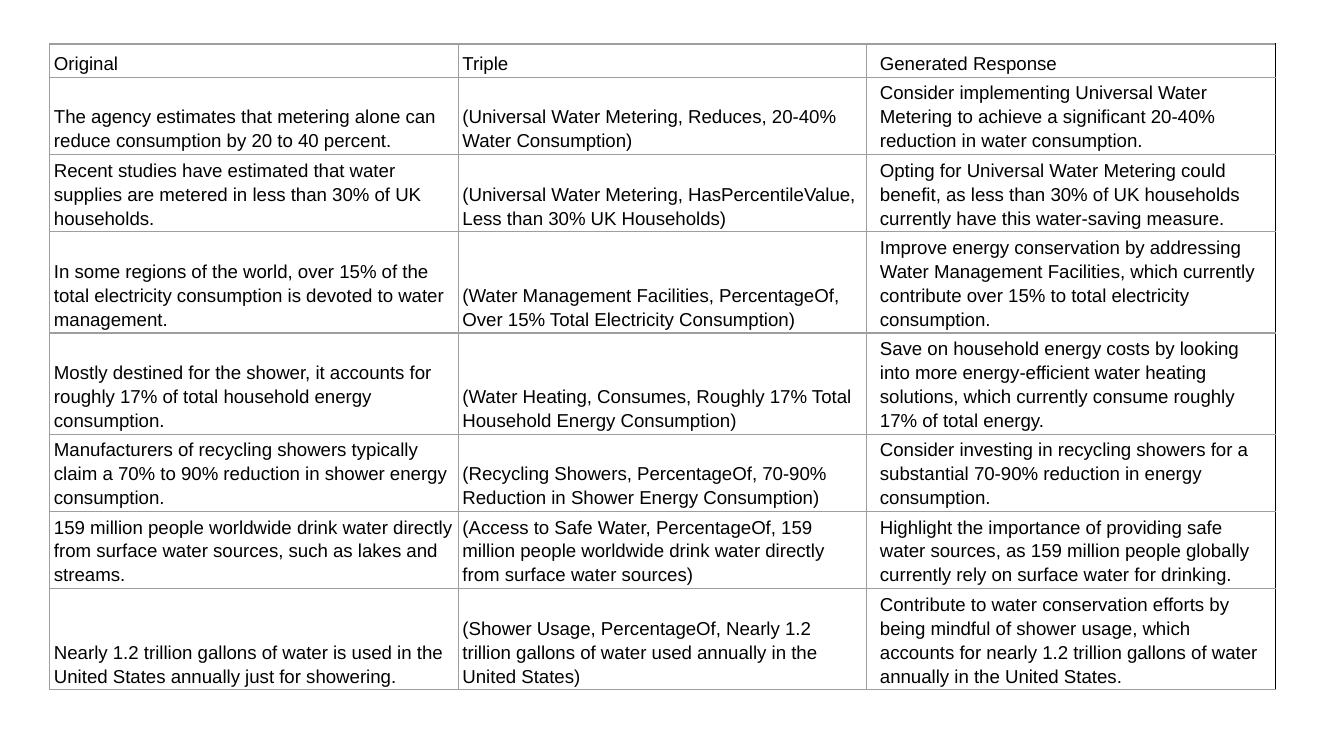
from dataclasses import dataclass

from lxml import etree
from pptx import Presentation
from pptx.dml.color import RGBColor
from pptx.enum.text import MSO_ANCHOR
from pptx.oxml.ns import qn
from pptx.util import Cm, Pt

BOTTOM = MSO_ANCHOR.BOTTOM


@dataclass(frozen=True)
class Theme:
    font: str = "Arial"
    size: float = 10
    line_spacing: float = 1.15
    text: str = "000000"
    grid: str = "9E9E9E"
    outer_edge: str = "000000"
    border_width: float = 0.75


THEME = Theme()

# Column insets at left and right, in cm
SIDE_INSETS = [0.08, 0.08, 0.25]
HEADER_HEIGHT, TWO_LINES, THREE_LINES = 0.63, 0.84, 1.09
ROWS = [
    (HEADER_HEIGHT, "Original", "Triple", "Generated Response"),
    (TWO_LINES,
     "The agency estimates that metering alone can reduce consumption by 20 to 40 percent.",
     "(Universal Water Metering, Reduces, 20-40% Water Consumption)",
     "Consider implementing Universal Water Metering to achieve a significant 20-40% "
     "reduction in water consumption."),
    (THREE_LINES,
     "Recent studies have estimated that water supplies are metered in less than 30% "
     "of UK households.",
     "(Universal Water Metering, HasPercentileValue, Less than 30% UK Households)",
     "Opting for Universal Water Metering could benefit, as less than 30% of UK "
     "households currently have this water-saving measure."),
    (THREE_LINES,
     "In some regions of the world, over 15% of the total electricity consumption is "
     "devoted to water management.",
     "(Water Management Facilities, PercentageOf, Over 15% Total Electricity Consumption)",
     "Improve energy conservation by addressing Water Management Facilities, which "
     "currently contribute over 15% to total electricity consumption."),
    (THREE_LINES,
     "Mostly destined for the shower, it accounts for roughly 17% of total household "
     "energy consumption.",
     "(Water Heating, Consumes, Roughly 17% Total Household Energy Consumption)",
     "Save on household energy costs by looking into more energy-efficient water "
     "heating solutions, which currently consume roughly 17% of total energy."),
    (TWO_LINES,
     "Manufacturers of recycling showers typically claim a 70% to 90% reduction in "
     "shower energy consumption.",
     "(Recycling Showers, PercentageOf, 70-90% Reduction in Shower Energy Consumption)",
     "Consider investing in recycling showers for a substantial 70-90% reduction in "
     "energy consumption."),
    (THREE_LINES,
     "159 million people worldwide drink water directly from surface water sources, "
     "such as lakes and streams.",
     "(Access to Safe Water, PercentageOf, 159 million people worldwide drink water "
     "directly from surface water sources)",
     "Highlight the importance of providing safe water sources, as 159 million people "
     "globally currently rely on surface water for drinking."),
    (THREE_LINES,
     "Nearly 1.2 trillion gallons of water is used in the United States annually just "
     "for showering.",
     "(Shower Usage, PercentageOf, Nearly 1.2 trillion gallons of water used annually "
     "in the United States)",
     "Contribute to water conservation efforts by being mindful of shower usage, which "
     "accounts for nearly 1.2 trillion gallons of water annually in the United States."),
]


def add_borders(cell, right_color):
    properties = cell._tc.get_or_add_tcPr()
    colors = {"lnL": THEME.grid, "lnR": right_color, "lnT": THEME.grid, "lnB": THEME.grid}
    for side, color in colors.items():
        line = etree.SubElement(properties, qn(f"a:{side}"), w=str(Pt(THEME.border_width)))
        fill = etree.SubElement(line, qn("a:solidFill"))
        etree.SubElement(fill, qn("a:srgbClr"), val=color)


def fill_cell(cell, text, side_inset, right_color):
    cell.vertical_anchor = BOTTOM
    cell.margin_left = cell.margin_right = Cm(side_inset)
    cell.margin_top = cell.margin_bottom = Cm(0.05)
    add_borders(cell, right_color)
    cell.fill.background()
    cell.text_frame.text = text
    para = cell.text_frame.paragraphs[0]
    para.line_spacing = THEME.line_spacing
    font = para.runs[0].font
    font.name = THEME.font
    font.size = Pt(THEME.size)
    font.bold = False
    font.color.rgb = RGBColor.from_string(THEME.text)


def add_response_table(page, left, top, width):
    """Place the table; its height follows from the row heights."""
    height = sum(row[0] for row in ROWS)
    column_count = len(SIDE_INSETS)
    table = page.shapes.add_table(
        len(ROWS), column_count, Cm(left), Cm(top), Cm(width), Cm(height)).table
    table.first_row = table.horz_banding = False
    for column in table.columns:
        column.width = Cm(width / column_count)
    for row_index, (row_height, *texts) in enumerate(ROWS):
        table.rows[row_index].height = Cm(row_height)
        for column_index, (text, inset) in enumerate(zip(texts, SIDE_INSETS)):
            is_last = column_index == column_count - 1
            fill_cell(table.cell(row_index, column_index), text, inset,
                      THEME.outer_edge if is_last else THEME.grid)


def main():
    deck = Presentation()
    deck.slide_width, deck.slide_height = Cm(25.4), Cm(14.29)
    page = deck.slides.add_slide(deck.slide_layouts[6])
    add_response_table(page, left=0.94, top=0.83, width=23.16)
    deck.save("out.pptx")


if __name__ == "__main__":
    main()
